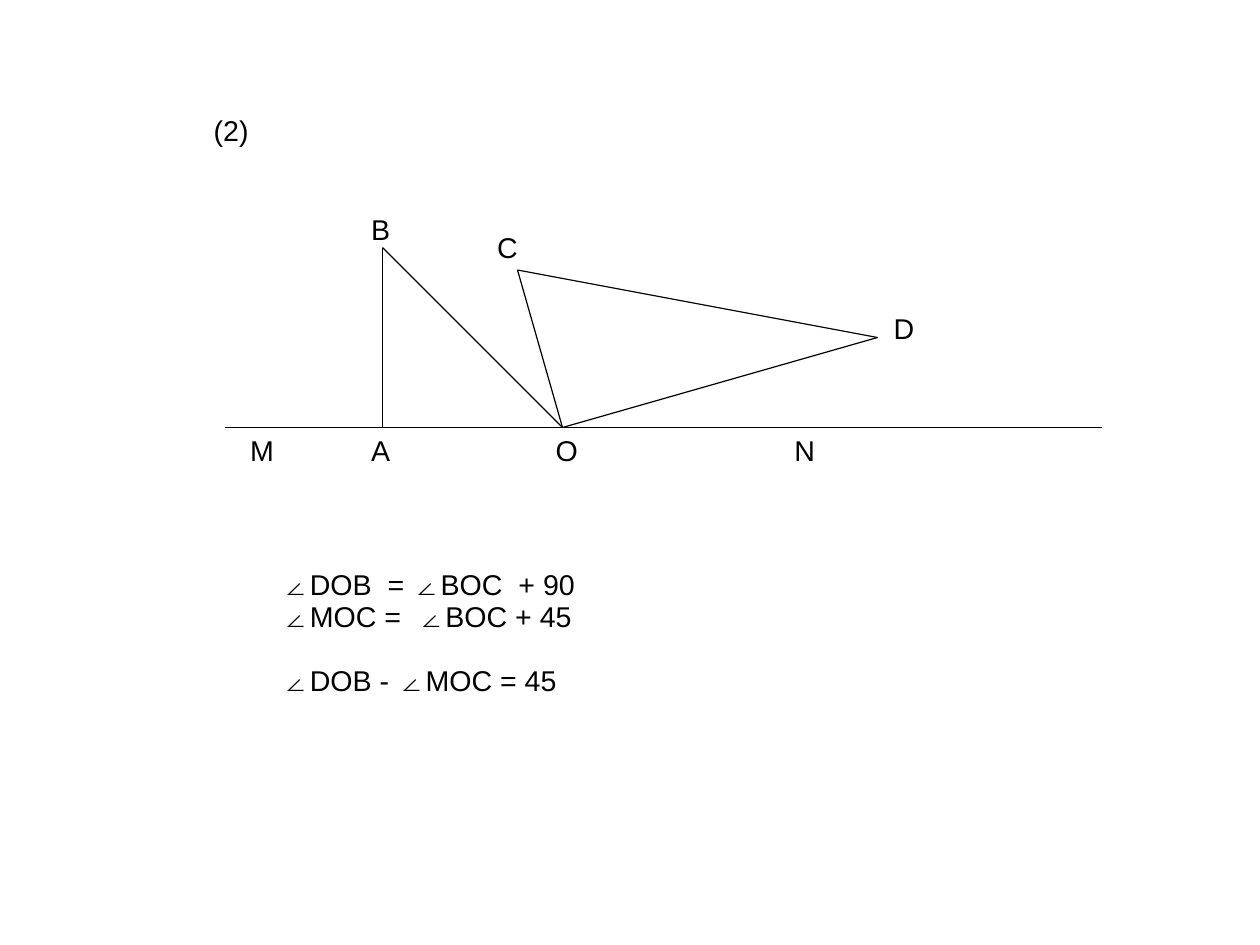
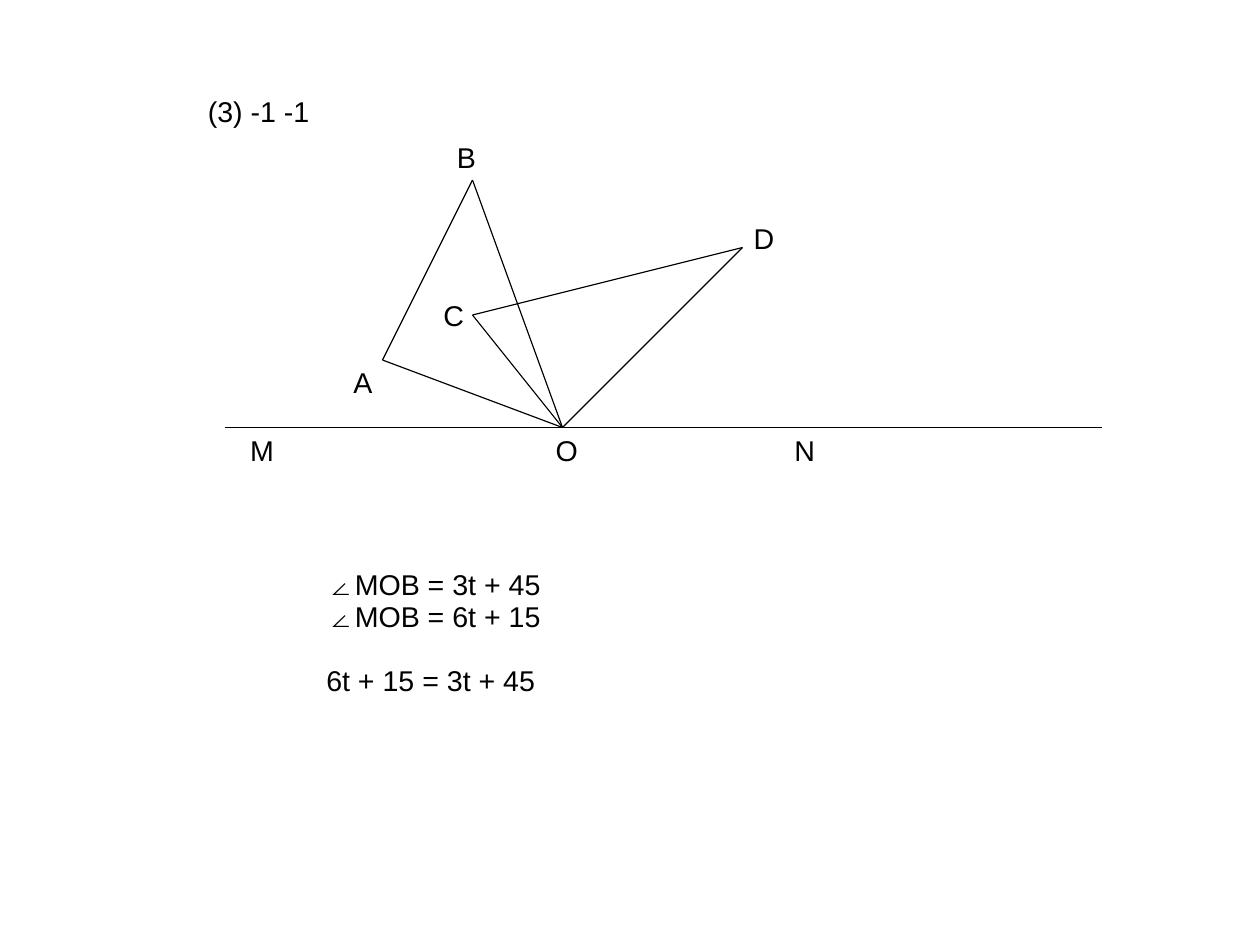
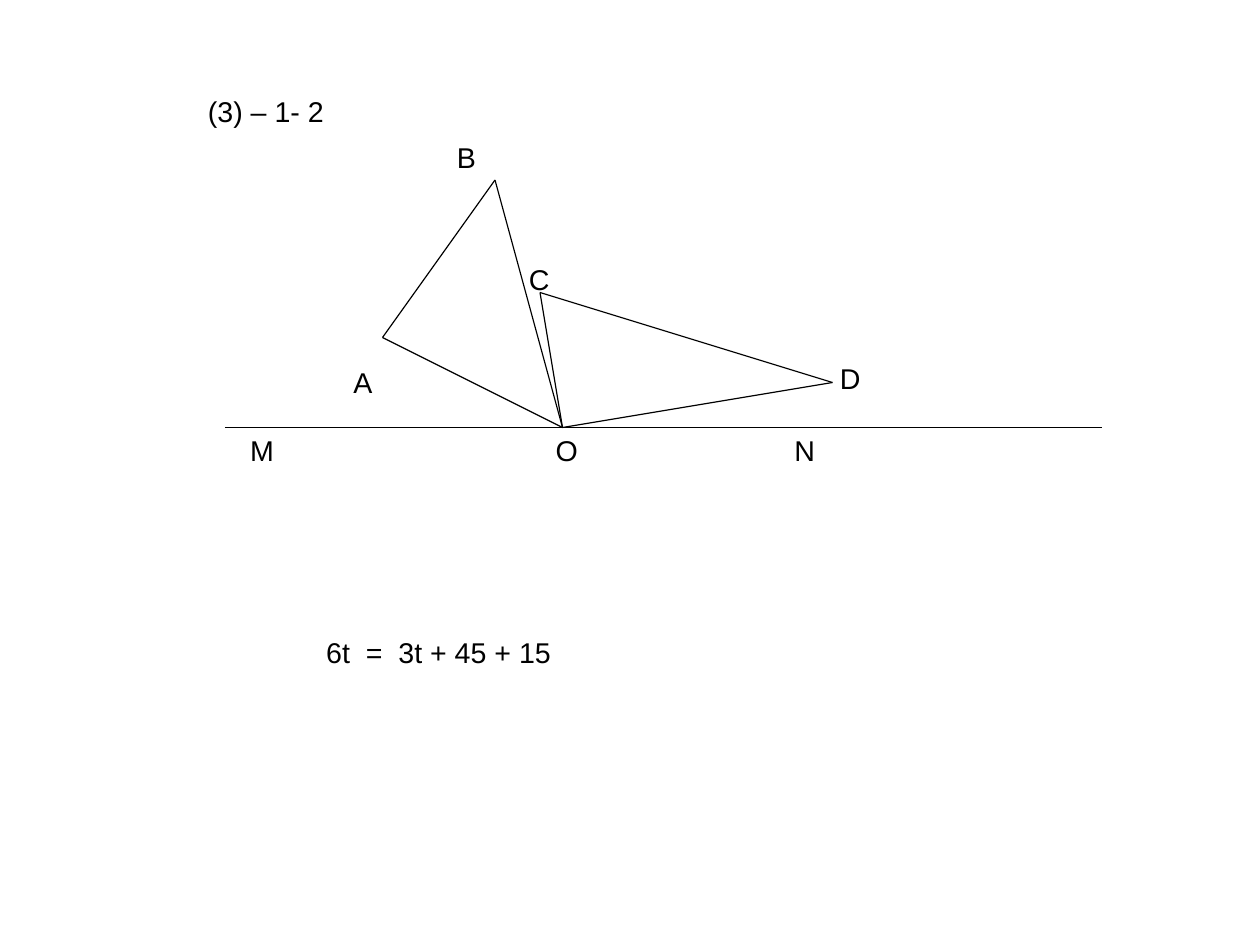
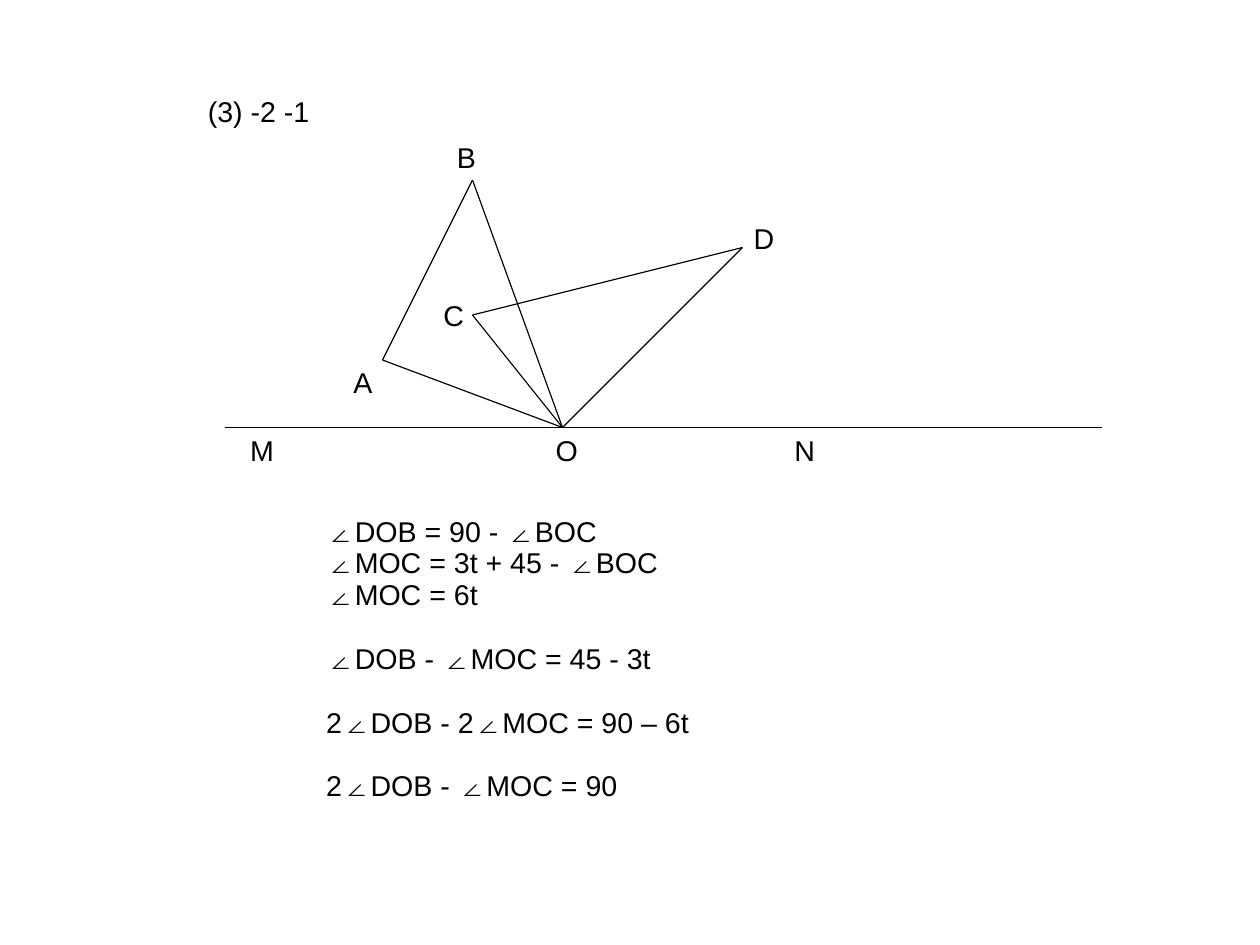
from lxml import etree
from pptx import Presentation
from pptx.dml.color import RGBColor
from pptx.enum.shapes import MSO_CONNECTOR
from pptx.enum.text import MSO_ANCHOR, MSO_AUTO_SIZE, PP_ALIGN
from pptx.oxml.ns import qn
from pptx.util import Cm, Inches, Pt

STRAIGHT = MSO_CONNECTOR.STRAIGHT
TOP = MSO_ANCHOR.TOP
FIXED = MSO_AUTO_SIZE.NONE
LEFT = PP_ALIGN.LEFT

COLS, ROWS, CELL = 56, 42, Cm(0.5)
COLORS = {"ink": "000000", "page": "FFFFFF"}
FRAME = {
    "word_wrap": False, "auto_size": FIXED, "vertical_anchor": TOP,
    "margin_left": Inches(0.1), "margin_right": Inches(0.1),
    "margin_top": Inches(0.07), "margin_bottom": Inches(0.05),
}
PARA = {"alignment": LEFT, "line_spacing": 0.93}
FONT = {"name": "Arial", "size": Pt(18)}
GAP = Pt(20)
LINE = 1.93
WIDTHS = {"M": 2.08, "A": 1.83, "B": 1.83, "O": 1.98}

BASE = 19
ENDS = [(10, BASE), (49, BASE)]
ORIGIN = (25, BASE)
FIXED_TAGS = {"M": (10.62, BASE), "O": (24.2, BASE), "N": (34.8, BASE)}
EDGES = ["BA", "BO", "AO", "OC", "OD", "CD"]

CROSSED = {
    "points": {"A": (17, 16), "B": (21, 8), "C": (21, 14), "D": (33, 11)},
    "tags": {"A": (15.2, 16), "B": (19.8, 6), "C": (19.2, 13), "D": (33, 9.6)},
}
APART = {
    "points": {"A": (17, BASE), "B": (17, 11), "C": (23, 12), "D": (39, 15)},
    "tags": {"A": (16, BASE), "B": (16, 9.2), "C": (21.6, 10), "D": (39.22, 13.61)},
}
CLOSE = {
    "points": {"A": (17, 15), "B": (22, 8), "C": (24, 13), "D": (37, 17)},
    "tags": {"A": (15.2, 16), "B": (19.8, 6), "C": (23, 11.43), "D": (36.83, 15.8)},
}
CASES = [
    {"title": ("(2)", 9, 4.78, 2.54), "figure": APART, "box": (12, 25, 13.41, 6.2),
     "proof": [["∠DOB  = ∠BOC  + 90", "∠MOC =  ∠BOC + 45"],
               ["∠DOB - ∠MOC = 45"]]},
    {"title": ("(3) -1 -1", 8.74, 3.96, 5.54), "figure": CROSSED, "box": (14, 25, 10.31, 6.2),
     "proof": [["∠MOB = 3t + 45", "∠MOB = 6t + 15"],
               ["6t + 15 = 3t + 45"]]},
    {"title": ("(3) – 1- 2", 8.74, 3.96, 6.15), "figure": CLOSE, "box": (14, 28, 11.02, 3.35),
     "proof": [["6t  =  3t + 45 + 15"]]},
    {"title": ("(3) -2 -1", 8.74, 3.96, 5.54), "figure": CROSSED, "box": (14, 22.6, 16.46, 13.31),
     "proof": [["∠DOB = 90 - ∠BOC", "∠MOC = 3t + 45 - ∠BOC", "∠MOC = 6t"],
               ["∠DOB - ∠MOC = 45 - 3t"],
               ["2∠DOB - 2∠MOC = 90 – 6t"],
               ["2∠DOB - ∠MOC = 90"]]},
]


def apply(target, values):
    """Set every value of a format dict on the target."""
    for name, value in values.items():
        setattr(target, name, value)


def cells(*counts):
    """Turn grid counts into lengths."""
    return [round(count * CELL) for count in counts]


class Deck:
    """Hold the style and the current slide."""

    def __init__(self):
        """Open a deck sized by the grid."""
        self.deck = Presentation()
        self.deck.slide_width, self.deck.slide_height = cells(COLS, ROWS)
        self.ink = RGBColor.from_string(COLORS["ink"])
        self.slide = None

    def page(self):
        """Start a blank slide."""
        self.slide = self.deck.slides.add_slide(self.deck.slide_layouts[6])
        fill = self.slide.background.fill
        fill.solid()
        fill.fore_color.rgb = RGBColor.from_string(COLORS["page"])

    def line(self, start, end):
        """Draw a thin line between two grid points."""
        line = self.slide.shapes.add_connector(STRAIGHT, *cells(*start, *end))
        line.line.color.rgb = self.ink
        line.line.width = Pt(0.75)
        etree.SubElement(line._element.spPr, qn("a:effectLst"))

    def text(self, groups, left, top, width, height=LINE):
        """Write groups of lines with a gap between groups."""
        box = self.slide.shapes.add_textbox(*cells(left, top, width, height))
        frame = box.text_frame
        apply(frame, FRAME)
        rows = [(text, group > 0 and row == 0)
                for group, lines in enumerate(groups)
                for row, text in enumerate(lines)]
        for index, (text, gap) in enumerate(rows):
            para = frame.add_paragraph() if index else frame.paragraphs[0]
            apply(para, PARA)
            if gap:
                para.space_before = GAP
            run = para.add_run()
            run.text = text
            apply(run.font, FONT)
            run.font.color.rgb = self.ink

    def figure(self, points, tags):
        """Draw both triangles on the base line and name their points."""
        self.line(*ENDS)
        spots = {**points, "O": ORIGIN}
        for start, end in EDGES:
            if spots[start][1] != BASE or spots[end][1] != BASE:
                self.line(spots[start], spots[end])
        for tag, (left, top) in {**FIXED_TAGS, **tags}.items():
            self.text([[tag]], left, top, WIDTHS.get(tag, LINE))


def main():
    """Build one slide per case."""
    deck = Deck()
    for case in CASES:
        deck.page()
        title, *place = case["title"]
        deck.figure(**case["figure"])
        deck.text([[title]], *place)
        deck.text(case["proof"], *case["box"])
    deck.deck.save("out.pptx")


if __name__ == "__main__":
    main()
